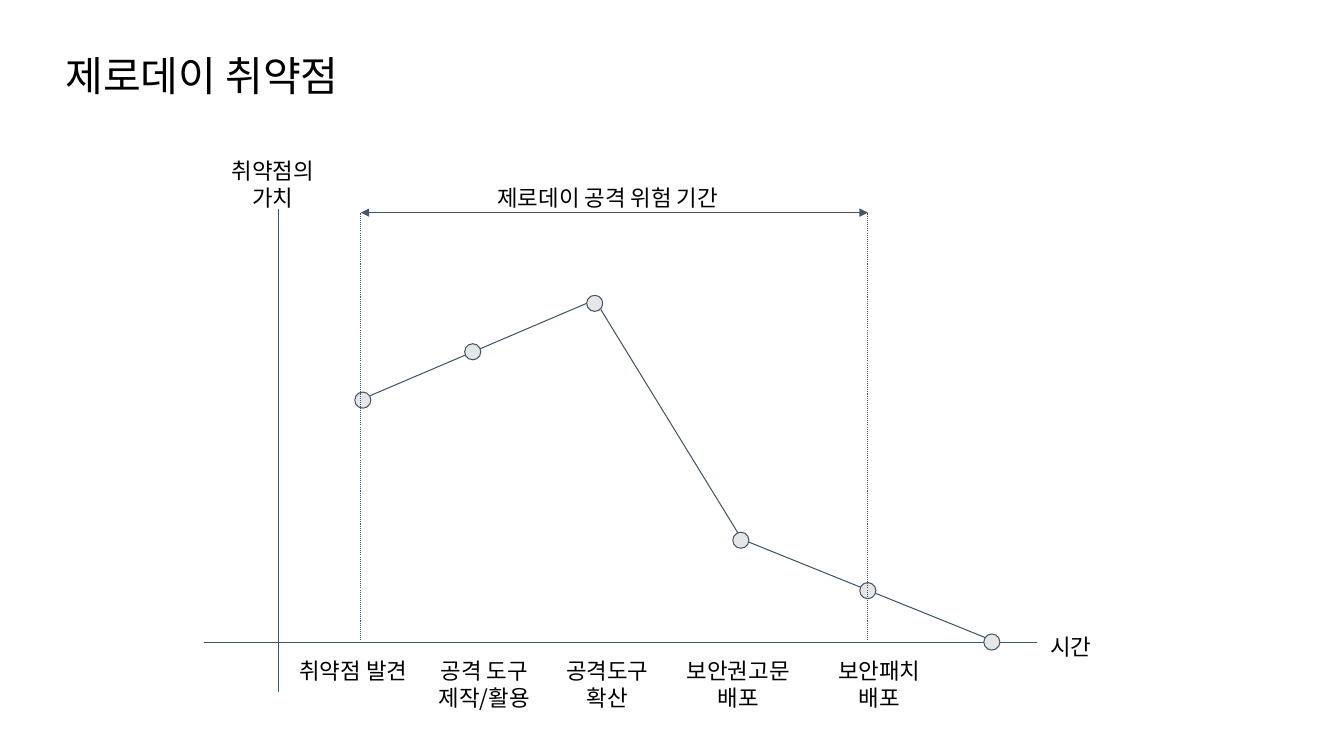
from dataclasses import dataclass

from lxml.etree import SubElement
from pptx import Presentation
from pptx.dml.color import RGBColor
from pptx.enum.dml import MSO_LINE_DASH_STYLE as Dash
from pptx.enum.shapes import MSO_CONNECTOR as Connector, MSO_SHAPE as Shape
from pptx.enum.text import MSO_ANCHOR as Anchor, PP_ALIGN as Align
from pptx.oxml.ns import qn
from pptx.util import Pt

FONT = "Noto Sans CJK KR"
INK = "44546A"
DOT_FILL = "E7E6E6"
DOT_SIZE = 11.5
LABEL_WIDTH, LABEL_HEIGHT = 117.4, 51.1
STAGE_TOP = 460.1
AXIS_Y = 458.6
RISK_START, RISK_END, RISK_TOP = 257.8, 619.9, 151.9


@dataclass
class Segment:
    x1: float
    y1: float
    x2: float
    y2: float
    dotted: bool = False
    arrows: bool = False


@dataclass
class Label:
    text: str
    left: float
    top: float
    width: float = LABEL_WIDTH
    height: float = LABEL_HEIGHT
    size: float = 16
    line_height: float = 19.3
    align: Align = Align.CENTER
    anchor: Anchor = Anchor.TOP


@dataclass
class Dot:
    x: float
    y: float


def color(value: str) -> RGBColor:
    return RGBColor.from_string(value)


def draw_segment(slide, segment: Segment) -> None:
    line = slide.shapes.add_connector(
        Connector.STRAIGHT, Pt(segment.x1), Pt(segment.y1), Pt(segment.x2), Pt(segment.y2)
    )
    line.line.color.rgb = color(INK)
    line.line.width = Pt(0.75)
    if segment.dotted:
        line.line.dash_style = Dash.ROUND_DOT
    if segment.arrows:
        for end in ("a:headEnd", "a:tailEnd"):
            SubElement(line.line._get_or_add_ln(), qn(end), type="triangle")
    SubElement(line._element.spPr, qn("a:effectLst"))


def draw_dot(slide, dot: Dot) -> None:
    circle = slide.shapes.add_shape(
        Shape.OVAL, Pt(dot.x - DOT_SIZE / 2), Pt(dot.y - DOT_SIZE / 2), Pt(DOT_SIZE), Pt(DOT_SIZE)
    )
    circle.shadow.inherit = False
    circle.fill.solid()
    circle.fill.fore_color.rgb = color(DOT_FILL)
    circle.line.color.rgb = color(INK)
    circle.line.width = Pt(0.75)


def draw_label(slide, label: Label) -> None:
    box = slide.shapes.add_textbox(
        Pt(label.left), Pt(label.top), Pt(label.width), Pt(label.height)
    )
    frame = box.text_frame
    frame.word_wrap = True
    frame.vertical_anchor = label.anchor
    frame.margin_left = frame.margin_right = Pt(9.36)
    frame.margin_top = frame.margin_bottom = Pt(9.36)
    frame.text = label.text
    for paragraph in frame.paragraphs:
        paragraph.alignment = label.align
        paragraph.line_spacing = Pt(label.line_height)
        font = paragraph.font
        font.size = Pt(label.size)
        font.color.rgb = color("000000")
        font.name = FONT
        SubElement(font._element, qn("a:ea"), typeface=FONT)


AXES_AND_CURVE = [
    Segment(145.5, AXIS_Y, 741, AXIS_Y),
    Segment(198.7, 494, 198.7, 149),
    Segment(257, 285.8, 419, 216.7),
    Segment(429.1, 221, 529.9, 385.2),
    Segment(529.9, 385.2, 709.9, 457.9),
]
DOTS = [
    Dot(259.2, 285.8),
    Dot(337.7, 251.3),
    Dot(424.8, 216.7),
    Dot(529.2, 385.9),
    Dot(619.9, 421.9),
    Dot(708.5, AXIS_Y),
]
RISK_PERIOD = [
    Segment(RISK_START, 457.2, RISK_START, RISK_TOP, dotted=True),
    Segment(RISK_END, 457.2, RISK_END, RISK_TOP, dotted=True),
    Segment(RISK_END, RISK_TOP, RISK_START, RISK_TOP, arrows=True),
]
LABELS = [
    Label("취약점 발견", 193.7, STAGE_TOP),
    Label("공격 도구\n제작/활용", 287.3, STAGE_TOP),
    Label("공격도구\n확산", 375.1, STAGE_TOP),
    Label("보안권고문\n배포", 468.7, STAGE_TOP),
    Label("보안패치\n배포", 569.5, STAGE_TOP),
    Label("시간", 706.3, 442.8),
    Label("취약점의\n가치", 136.1, 103),
    Label("제로데이 공격 위험 기간", 295.2, 121.7, width=277.9),
    Label("제로데이 취약점", 37.4, 26.6, 468, 54.7, 29.3, 35.2, Align.LEFT, Anchor.MIDDLE),
]


def main() -> None:
    deck = Presentation()
    deck.slide_width, deck.slide_height = Pt(960), Pt(540)
    slide = deck.slides.add_slide(deck.slide_layouts[6])

    # Axes and the value curve
    for segment in AXES_AND_CURVE:
        draw_segment(slide, segment)
    for dot in DOTS:
        draw_dot(slide, dot)

    # Risk period, drawn over the dots
    for segment in RISK_PERIOD:
        draw_segment(slide, segment)

    # Title, stages and axis names
    for label in LABELS:
        draw_label(slide, label)

    deck.save("out.pptx")


if __name__ == "__main__":
    main()
